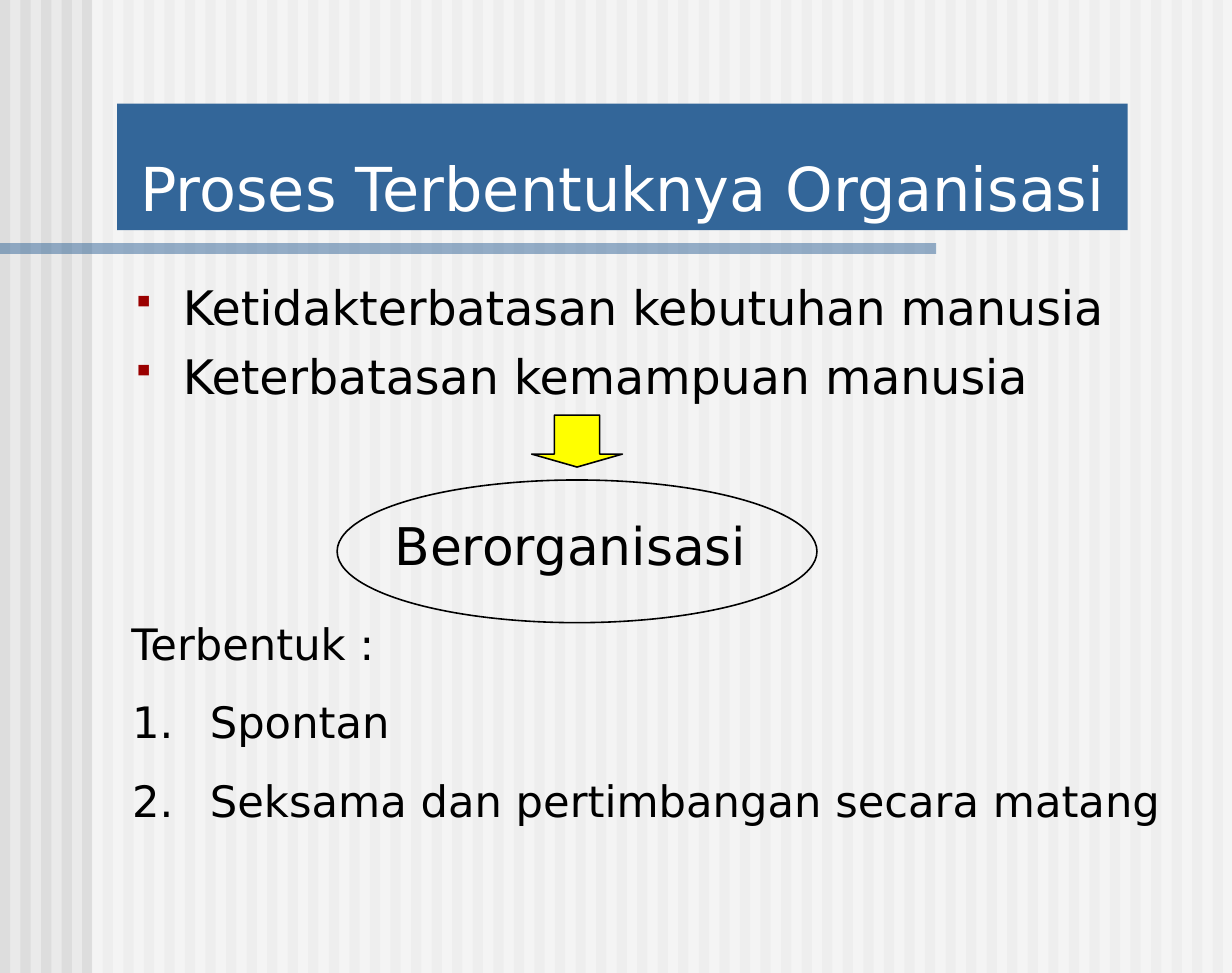
from lxml.etree import SubElement
from pptx import Presentation
from pptx.dml.color import RGBColor
from pptx.enum.shapes import MSO_SHAPE
from pptx.enum.text import MSO_ANCHOR, MSO_AUTO_SIZE, PP_ALIGN
from pptx.oxml.ns import qn
from pptx.util import Pt

WIDTH, HEIGHT = 570, 450
FONT = "DejaVu Sans"
PAPER = RGBColor(0xEA, 0xEA, 0xEA)
STRIPE = RGBColor(0xDD, 0xDD, 0xDD)
WHITE = RGBColor(0xFF, 0xFF, 0xFF)
BLUE = RGBColor(0x33, 0x66, 0x99)
RED = RGBColor(0x9A, 0x00, 0x00)
YELLOW = RGBColor(0xFF, 0xFF, 0x00)
BLACK = RGBColor(0x00, 0x00, 0x00)

SQUARE = [("buSzPct", {"val": "75000"}), ("buFont", {"typeface": "Wingdings"}),
          ("buChar", {"char": "§"})]
NUMBER = [("buFont", {"typeface": FONT}), ("buAutoNum", {"type": "arabicPeriod"})]


def set_format(target, values):
    """Set each named attribute of the target."""
    for name, value in values.items():
        setattr(target, name, value)


def add_figure(page, kind, box, fill=None, line=None, opacity=None):
    """Add a preset shape with an optional fill, outline and opacity."""
    figure = page.shapes.add_shape(kind, *map(Pt, box))
    figure.shadow.inherit = False
    if fill is None:
        figure.fill.background()
    else:
        figure.fill.solid()
        figure.fill.fore_color.rgb = fill
    if line is None:
        figure.line.fill.background()
    else:
        figure.line.color.rgb = line
        figure.line.width = Pt(0.75)
    if opacity is not None:
        color = figure.element.spPr.find(qn("a:solidFill"))[0]
        SubElement(color, qn("a:alpha"), val=str(opacity * 1000))
    return figure


def add_bullet(para, marks, color, indent):
    """Give a paragraph a hanging indent and a coloured bullet."""
    properties = para._p.get_or_add_pPr()
    properties.set("marL", str(Pt(indent)))
    properties.set("indent", str(-Pt(indent)))
    bullet_color = SubElement(properties, qn("a:buClr"))
    SubElement(bullet_color, qn("a:srgbClr"), val=str(color))
    for tag, values in marks:
        SubElement(properties, qn(f"a:{tag}"), **values)


def fill_text(shape, lines, size, color, before, align, margins, **frame_values):
    """Write one formatted paragraph per line and return the paragraphs."""
    frame = shape.text_frame
    across, down = map(Pt, margins)
    set_format(frame, {"word_wrap": True, "margin_left": across,
                       "margin_right": across, "margin_top": down,
                       "margin_bottom": down, **frame_values})
    paras = []
    for index, line in enumerate(lines):
        para = frame.add_paragraph() if index else frame.paragraphs[0]
        set_format(para, {"space_before": Pt(before), "alignment": align})
        span = para.add_run()
        span.text = line
        set_format(span.font, {"name": FONT, "size": Pt(size)})
        span.font.color.rgb = color
        paras.append(para)
    return paras


def add_label(page, box, text, size, before):
    """Add a centred text box that fits its text."""
    label = page.shapes.add_textbox(*map(Pt, box))
    fill_text(label, [text], size, BLACK, before, PP_ALIGN.CENTER, (7.2, 3.6),
              auto_size=MSO_AUTO_SIZE.SHAPE_TO_FIT_TEXT)


def add_list(page, box, lines, size, before, margins, marks, color, indent):
    """Add a bulleted or numbered list."""
    listing = page.shapes.add_textbox(*map(Pt, box))
    for para in fill_text(listing, lines, size, BLACK, before, PP_ALIGN.LEFT, margins):
        add_bullet(para, marks, color, indent)


def add_backdrop(page, box):
    """Draw the striped paper, the pale veil and the blue rule."""
    left, top, width, height = box
    page.background.fill.solid()
    page.background.fill.fore_color.rgb = PAPER
    pitch = 9.51
    for index in range(60):
        stripe = (left + index * pitch, top, pitch / 2, height)
        add_figure(page, MSO_SHAPE.RECTANGLE, stripe, STRIPE)
    veil = (left + 42.5, top, width - 42.5, height)
    add_figure(page, MSO_SHAPE.RECTANGLE, veil, WHITE, opacity=50)
    rule = (left, top + 112.5, 433.2, 5)
    add_figure(page, MSO_SHAPE.RECTANGLE, rule, BLUE, opacity=50)


def add_title(page, box, text):
    """Place the title placeholder as a blue band above the backdrop."""
    title = page.shapes.title
    title.element.getparent().append(title.element)
    places = ("left", "top", "width", "height")
    set_format(title, dict(zip(places, map(Pt, box))))
    title.fill.solid()
    title.fill.fore_color.rgb = BLUE
    fill_text(title, [text], 28, WHITE, 0, PP_ALIGN.CENTER, (5.8, 2.9),
              vertical_anchor=MSO_ANCHOR.BOTTOM,
              auto_size=MSO_AUTO_SIZE.SHAPE_TO_FIT_TEXT)


def add_outcome(page, box):
    """Draw the arrow leading down to the labelled ellipse."""
    left, top, width, height = box
    add_label(page, (left, top + 42, 216, 36), "Berorganisasi", 24, 15)
    add_figure(page, MSO_SHAPE.OVAL, (left, top + 30, width, height - 30), line=BLACK)
    arrow_box = (left + (width - 42) / 2, top, 42, 24)
    arrow = add_figure(page, MSO_SHAPE.DOWN_ARROW, arrow_box, YELLOW, BLACK)
    arrow.adjustments[0] = 0.5
    arrow.adjustments[1] = 0.25


def add_formation(page, box):
    """Write the ways of forming under their heading."""
    left, top, width, height = box
    add_list(page, (left + 6, top + 36, width - 6, height - 36),
             ["Spontan", "Seksama dan pertimbangan secara matang"],
             20, 12.5, (7.2, 3.6), NUMBER, BLACK, 36)
    add_label(page, (left, top, 138, 31.5), "Terbentuk :", 20, 12.5)


def main():
    """Build and save the slide."""
    deck = Presentation()
    set_format(deck, {"slide_width": Pt(WIDTH), "slide_height": Pt(HEIGHT)})
    page = deck.slides.add_slide(deck.slide_layouts[5])
    add_backdrop(page, (0, 0, WIDTH, HEIGHT))
    add_title(page, (54.2, 67, 467.5, 39.5), "Proses Terbentuknya Organisasi")
    add_list(page, (57, 125.5, 471, 72.5),
             ["Ketidakterbatasan kebutuhan manusia", "Keterbatasan kemampuan manusia"],
             22, 5.5, (5.8, 2.9), SQUARE, RED, 21.8)
    add_outcome(page, (156, 192, 222, 96))
    add_formation(page, (48, 282, 498, 103.5))
    deck.save("out.pptx")


if __name__ == "__main__":
    main()
